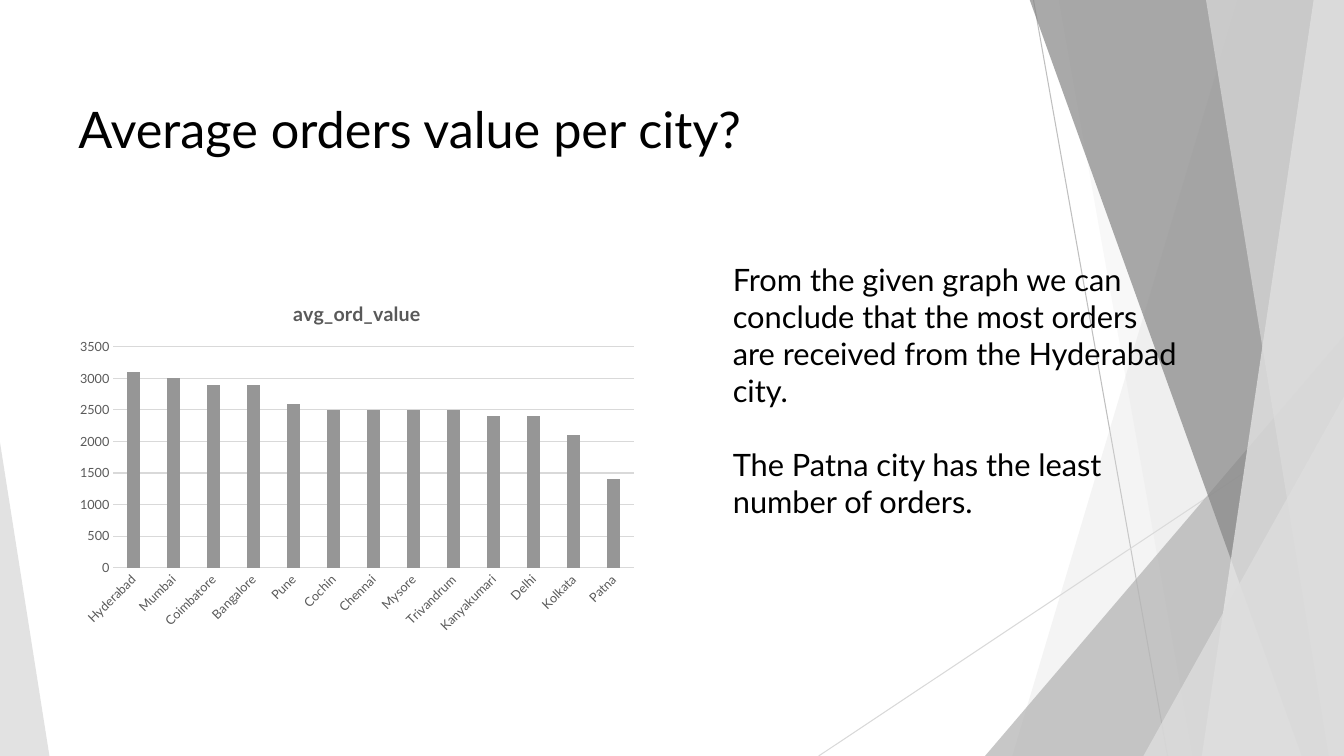
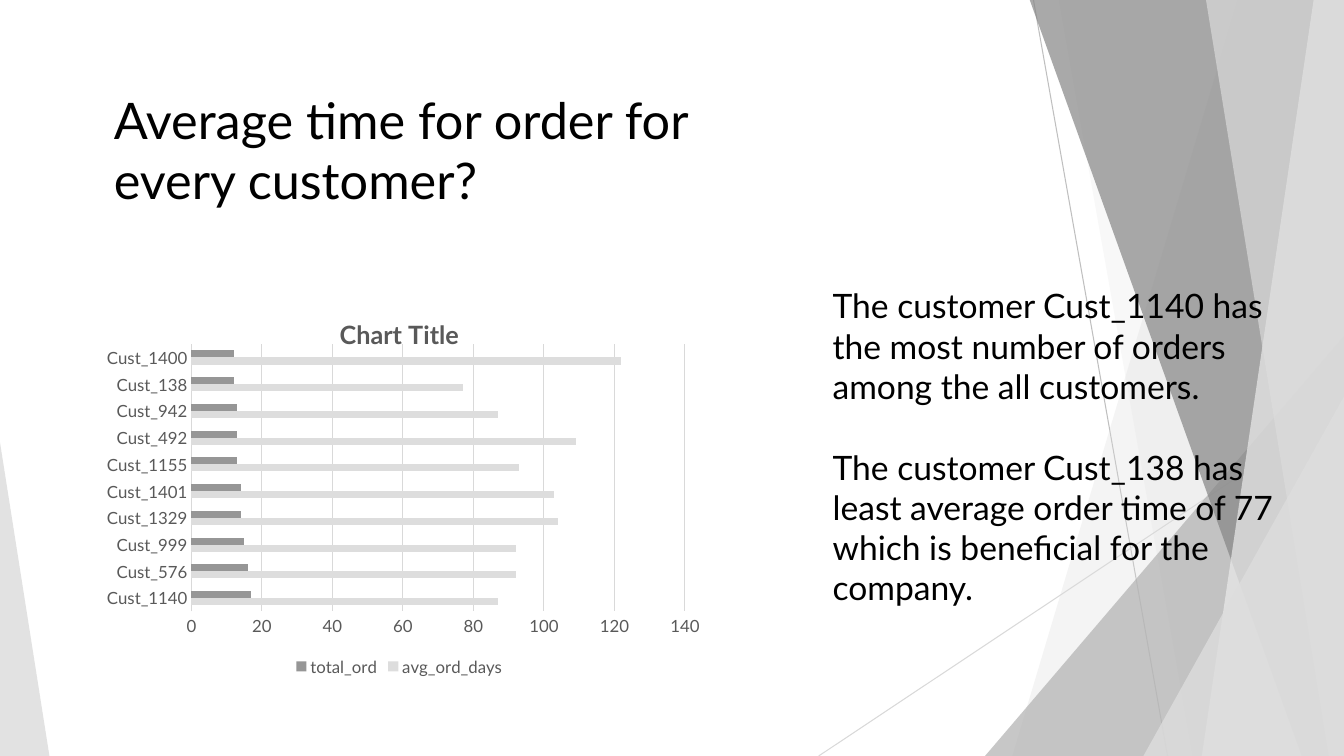
from lxml.etree import SubElement
from pptx import Presentation
from pptx.chart.data import CategoryChartData
from pptx.dml.color import RGBColor
from pptx.enum.chart import XL_CHART_TYPE, XL_LEGEND_POSITION, XL_TICK_MARK
from pptx.enum.shapes import MSO_CONNECTOR, MSO_SHAPE
from pptx.oxml import parse_xml
from pptx.oxml.ns import nsdecls, qn
from pptx.util import Inches, Pt

FONT = "Lato"
WIDE, HIGH = 13.33, 7.5
COLOR = {
    "text": "000000",
    "label": "595959",
    "grid": "D9D9D9",
    "rule": "BFBFBF",
    "bar": "969696",
    "light": "DDDDDD",
    "pale": "EBEBEB",
    "mid": "B2B2B2",
    "dark": "858585",
}


def rgb(name):
    return RGBColor.from_string(COLOR[name])


def style(font, size, color):
    font.name = FONT
    font.size = Pt(size)
    font.color.rgb = rgb(color)


def stroke(line, color):
    line.color.rgb = rgb(color)
    line.width = Pt(0.75)


def tint(shape, color, alpha):
    shape.shadow.inherit = False
    shape.fill.solid()
    shape.fill.fore_color.rgb = rgb(color)
    shape.line.fill.background()
    mark = shape.element.xpath("./p:spPr/a:solidFill/a:srgbClr")[0]
    SubElement(mark, qn("a:alpha")).set("val", str(alpha * 1000))


def add_line(slide, start, end, color):
    ends = [Inches(v) for v in start + end]
    line = slide.shapes.add_connector(MSO_CONNECTOR.STRAIGHT, *ends)
    stroke(line.line, color)
    SubElement(line.element.xpath("./p:spPr")[0], qn("a:effectLst"))


def add_band(slide, top, foot, color, alpha):
    peak = -0.01
    spots = [(WIDE, peak), (WIDE, HIGH), (foot, HIGH)]
    path = slide.shapes.build_freeform(Inches(top), Inches(peak), scale=1.0)
    path.add_line_segments([(Inches(x), Inches(y)) for x, y in spots], close=True)
    tint(path.convert_to_shape(), color, alpha)


def add_wedge(slide, left, top, width, tip, color, alpha):
    box = [Inches(v) for v in (left, top, width, HIGH - top)]
    wedge = slide.shapes.add_shape(MSO_SHAPE.ISOSCELES_TRIANGLE, *box)
    wedge.adjustments[0] = tip
    tint(wedge, color, alpha)


def add_facets(slide):
    add_line(slide, (10.25, 0), (11.58, HIGH), "rule")
    add_line(slide, (WIDE, 4.03), (8.12, HIGH), "grid")
    add_band(slide, 12.28, 10.04, "light", 30)
    add_band(slide, 10.5, 11.83, "light", 20)
    add_wedge(slide, 9.77, 3.33, 3.56, 1, "mid", 72)
    add_band(slide, 10.21, 12.91, "dark", 70)
    add_band(slide, 13.03, 11.92, "pale", 70)
    add_band(slide, 11.96, 13.18, "light", 65)
    add_wedge(slide, 11.34, 3.93, 1.99, 1, "light", 80)
    add_wedge(slide, 0, 4.39, 0.49, 0, "light", 85)


def add_text(slide, box, size, lines):
    frame = slide.shapes.add_textbox(*[Inches(v) for v in box]).text_frame
    frame.word_wrap = True
    for i, line in enumerate(lines):
        para = frame.add_paragraph() if i else frame.paragraphs[0]
        para.text = line
        style(para.font, size, "text")
        para.space_before = Pt(size * 1.2 if i else 0)


def add_graph(slide, box, kind, cats, rows, title, size, head, top, step, gap, lap):
    data = CategoryChartData()
    data.categories = cats
    for name, vals, _ in rows:
        data.add_series(name, vals)
    frame = slide.shapes.add_chart(kind, *[Inches(v) for v in box], data)
    chart = frame.chart
    style(chart.font, 10, "text")
    chart.has_legend = False
    chart.has_title = True
    para = chart.chart_title.text_frame.paragraphs[0]
    para.text = title
    style(para.font, head, "label")

    plot = chart.plots[0]
    plot.vary_by_categories = False
    plot.gap_width = gap
    plot.overlap = lap
    for series, (_, _, color) in zip(plot.series, rows):
        series.format.fill.solid()
        series.format.fill.fore_color.rgb = rgb(color)
        series.invert_if_negative = False

    for axis in (chart.category_axis, chart.value_axis):
        axis.major_tick_mark = XL_TICK_MARK.NONE
        axis.minor_tick_mark = XL_TICK_MARK.NONE
        style(axis.tick_labels.font, size, "label")
    stroke(chart.category_axis.format.line, "grid")
    scale = chart.value_axis
    scale.format.line.fill.background()
    scale.has_major_gridlines = True
    stroke(scale.major_gridlines.format.line, "grid")
    scale.minimum_scale = 0
    scale.maximum_scale = top
    scale.major_unit = step
    return chart


def tilt(chart):
    body = chart.element.xpath(".//c:catAx/c:txPr/a:bodyPr")[0]
    body.set("rot", "-2700000")
    body.set("vert", "horz")


def add_key(chart, size):
    chart.has_legend = True
    chart.legend.position = XL_LEGEND_POSITION.BOTTOM
    chart.legend.include_in_layout = False
    style(chart.legend.font, size, "label")


def set_plot(chart, x, y, w, h):
    area = chart.element.xpath(".//c:plotArea")[0]
    for old in area.findall(qn("c:layout")):
        area.remove(old)
    area.insert(0, parse_xml(
        f'<c:layout {nsdecls("c")}><c:manualLayout>'
        '<c:layoutTarget val="inner"/><c:xMode val="edge"/><c:yMode val="edge"/>'
        f'<c:x val="{x}"/><c:y val="{y}"/><c:w val="{w}"/><c:h val="{h}"/>'
        '</c:manualLayout></c:layout>'))


def new_slide(deck):
    slide = deck.slides.add_slide(deck.slide_layouts[6])
    add_facets(slide)
    return slide


def city_slide(deck):
    slide = new_slide(deck)
    cats = ["Hyderabad", "Mumbai", "Coimbatore", "Bangalore", "Pune", "Cochin",
            "Chennai", "Mysore", "Trivandrum", "Kanyakumari", "Delhi", "Kolkata",
            "Patna"]
    vals = [3100, 3000, 2900, 2900, 2600, 2500, 2500, 2500, 2500, 2400, 2400,
            2100, 1400]
    chart = add_graph(
        slide, (0.68, 2.81, 5.72, 3.55), XL_CHART_TYPE.COLUMN_CLUSTERED, cats,
        [("avg_ord_value", vals, "bar")], "avg_ord_value",
        size=9, head=14, top=3500, step=500, gap=219, lap=-27)
    tilt(chart)
    add_text(slide, (0.68, 0.92, 8.72, 0.71), 36, ["Average orders value per city?"])
    add_text(slide, (7.17, 2.54, 4.69, 2.69), 22, [
        "From the given graph we can conclude that the most orders are received "
        "from the Hyderabad city.",
        "The Patna city has the least number of orders.",
    ])


def time_slide(deck):
    slide = new_slide(deck)
    codes = [1140, 576, 999, 1329, 1401, 1155, 492, 942, 138, 1400]
    days = [87, 92, 92, 104, 103, 93, 109, 87, 77, 122]
    total = [17, 16, 15, 14, 14, 13, 13, 13, 12, 12]
    chart = add_graph(
        slide, (0.74, 2.96, 6.44, 3.79), XL_CHART_TYPE.BAR_CLUSTERED,
        [f"Cust_{code}" for code in codes],
        [("avg_ord_days", days, "light"), ("total_ord", total, "bar")],
        "Chart Title", size=12, head=18, top=140, step=20, gap=182, lap=0)
    add_key(chart, 12)
    set_plot(chart, 0.18, 0.12, 0.76, 0.7)
    add_text(slide, (1.03, 0.83, 6.15, 1.31), 36,
             ["Average time for order for every customer?"])
    add_text(slide, (8.16, 2.78, 4.81, 3.33), 24, [
        "The customer Cust_1140 has the most number of orders among the all "
        "customers.",
        "The customer Cust_138 has least average order time of 77 which is "
        "beneficial for the company.",
    ])


def main():
    deck = Presentation()
    deck.slide_width = Inches(WIDE)
    deck.slide_height = Inches(HIGH)
    city_slide(deck)
    time_slide(deck)
    deck.save("out.pptx")


if __name__ == "__main__":
    main()
